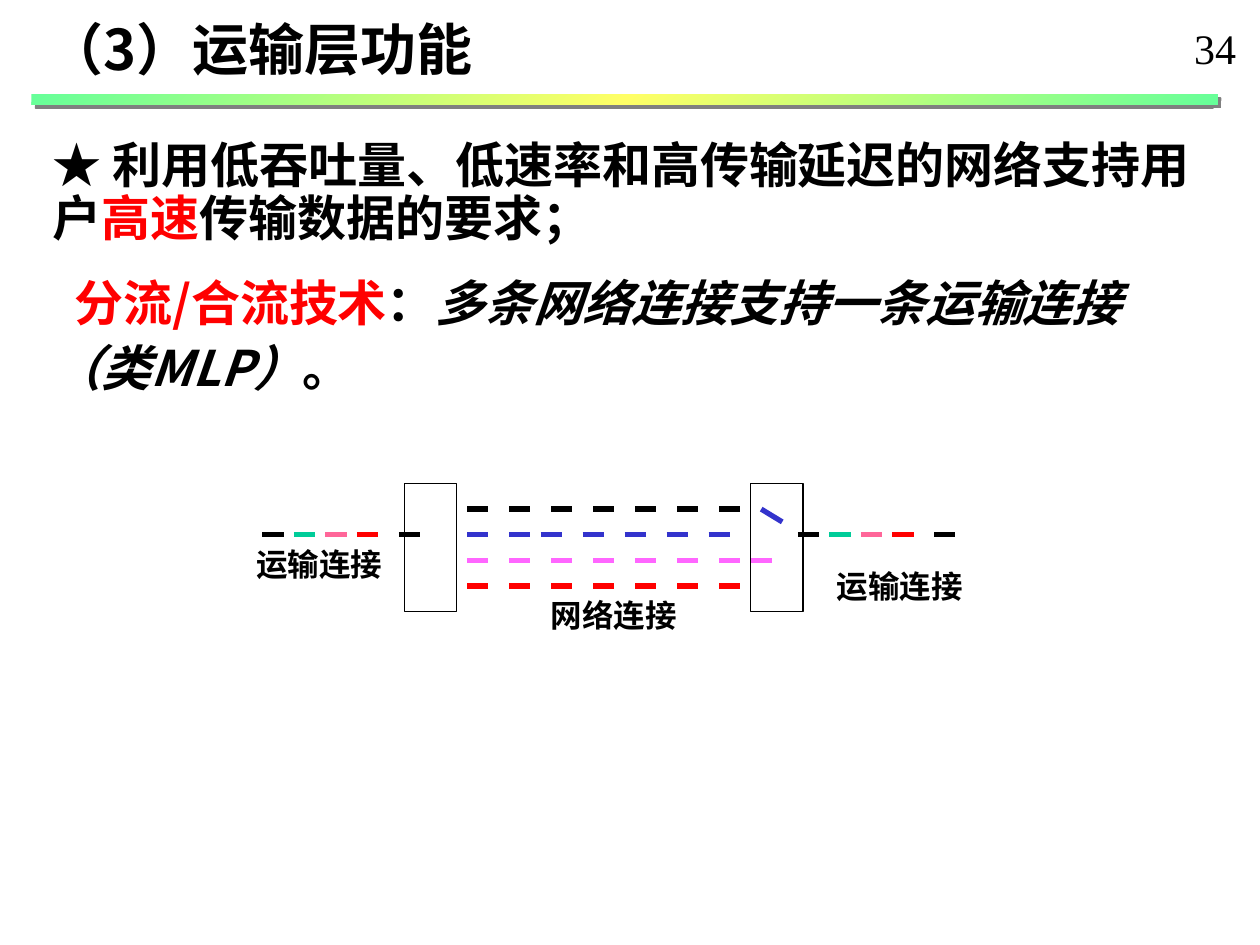
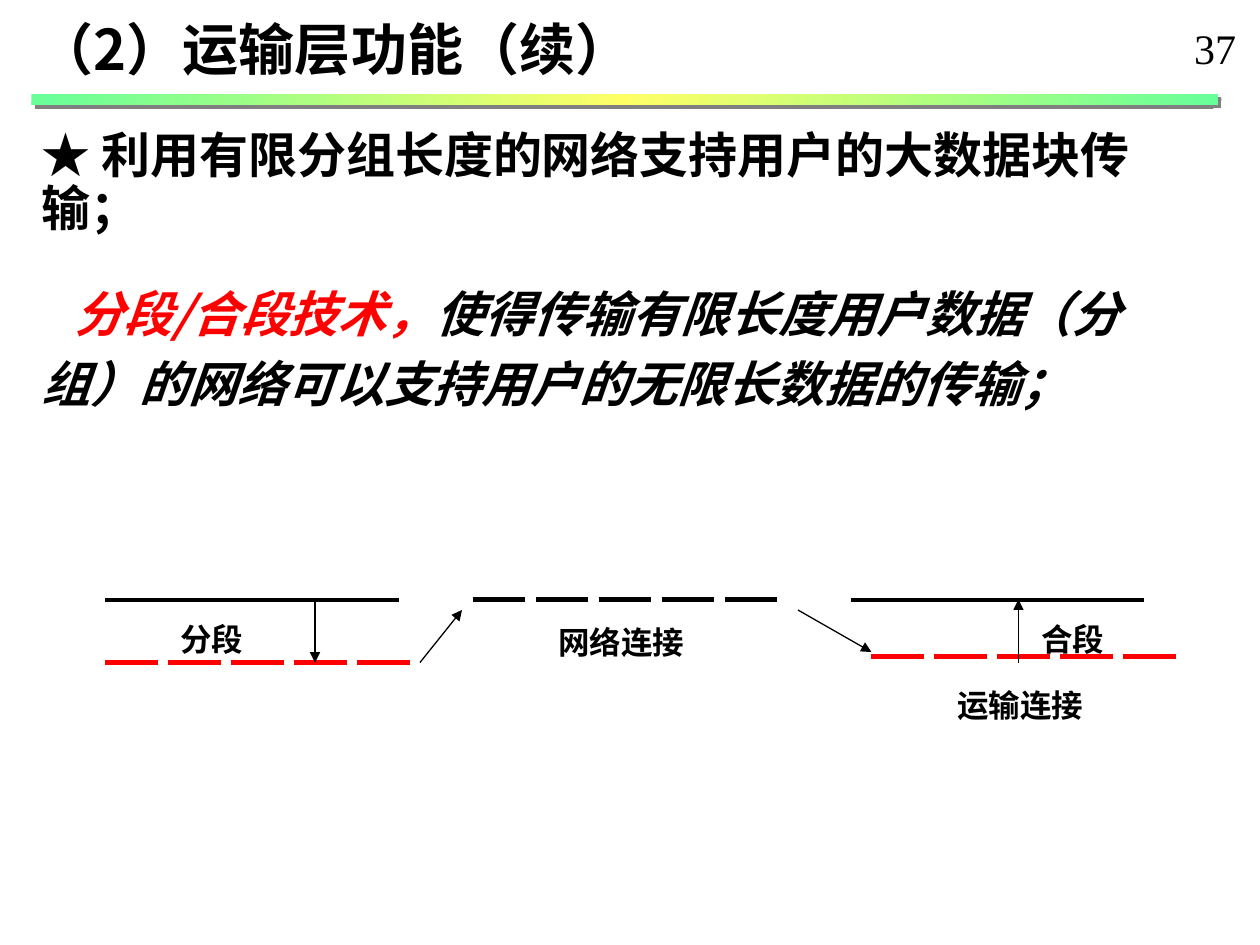
"""Builds two slides on how the transport layer splits and merges data."""
from dataclasses import dataclass

from lxml.etree import SubElement
from pptx import Presentation
from pptx.dml.color import RGBColor
from pptx.enum.shapes import MSO_CONNECTOR as Connector, MSO_SHAPE as Shape
from pptx.enum.text import MSO_ANCHOR as Anchor, MSO_AUTO_SIZE as AutoSize, PP_ALIGN as Align
from pptx.oxml import parse_xml
from pptx.oxml.ns import nsdecls, qn
from pptx.util import Inches, Pt

CELLS_PER_INCH = 24


@dataclass(frozen=True)
class Theme:
    """Colours, fonts and sizes shared by the slides."""
    black: str = "000000"
    red: str = "FF0000"
    green: str = "00CC99"
    rose: str = "FF6699"
    blue: str = "3333CC"
    pink: str = "FF66FF"
    band_edge: str = "66FF99"
    band_middle: str = "FFFF66"
    band_shadow: str = "808080"
    sans: str = "Noto Sans CJK SC"
    serif: str = "Times New Roman"
    title: int = 32
    body: int = 28
    number: int = 24
    label: int = 18
    thin: float = 0.75
    medium: float = 2.25
    thick: float = 3


THEME = Theme()


def cells(*lengths):
    """Convert grid cells to slide lengths."""
    return [Inches(length / CELLS_PER_INCH) for length in lengths]


def apply(target, values):
    """Set every attribute named in values on the target."""
    for attribute, value in values.items():
        setattr(target, attribute, value)


def write_run(paragraph, text, size, color=THEME.black, latin=THEME.sans, bold=True, italic=False):
    """Add one formatted run to a paragraph."""
    run = paragraph.add_run()
    run.text = text
    apply(run.font, {"size": Pt(size), "bold": bold, "italic": italic, "name": latin})
    run.font.color.rgb = RGBColor.from_string(color)
    SubElement(run.font._element, qn("a:ea"), typeface=THEME.sans)


def place(placeholder, area):
    """Move a placeholder to its area and return its text frame."""
    apply(placeholder, dict(zip(("left", "top", "width", "height"), cells(*area))))
    frame = placeholder.text_frame
    apply(frame, {"word_wrap": True, "auto_size": AutoSize.NONE, "vertical_anchor": Anchor.TOP})
    return frame


def add_label(slide, text, left, top, width=None, size=THEME.label, bold=True):
    """Add a short unwrapped text."""
    width = width or 4.8 + 6 * len(text)
    frame = slide.shapes.add_textbox(*cells(left, top, width, 9.6)).text_frame
    frame.word_wrap = False
    write_run(frame.paragraphs[0], text, size, latin=THEME.serif, bold=bold)


def add_band(slide):
    """Draw the gradient rule with its hard shadow below the title."""
    band = slide.shapes.add_shape(Shape.RECTANGLE, *cells(6, 18, 226, 2))
    band.line.fill.background()
    stops = "".join(
        f'<a:gs pos="{position}"><a:srgbClr val="{color}"/></a:gs>'
        for position, color in ((0, THEME.band_edge), (50000, THEME.band_middle),
                                (100000, THEME.band_edge)))
    properties = band._element.spPr
    properties.find(qn("a:prstGeom")).addnext(parse_xml(
        f'<a:gradFill {nsdecls("a")} rotWithShape="1"><a:gsLst>{stops}</a:gsLst>'
        '<a:lin ang="2700000" scaled="1"/></a:gradFill>'))
    properties.append(parse_xml(
        f'<a:effectLst {nsdecls("a")}><a:outerShdw dist="35560" dir="2700000" algn="ctr" '
        f'rotWithShape="0"><a:srgbClr val="{THEME.band_shadow}"/></a:outerShdw></a:effectLst>'))


def start_slide(deck, title, title_area, number):
    """Add a slide with its title, band and page number."""
    slide = deck.slides.add_slide(deck.slide_layouts[1])
    add_band(slide)
    heading = place(slide.shapes.title, title_area).paragraphs[0]
    apply(heading, {"alignment": Align.LEFT, "line_spacing": 0.9})
    write_run(heading, title, THEME.title)
    add_label(slide, number, 225.12, 3.12, 12.96, THEME.number, bold=False)
    return slide


def fill_body(slide, area, paragraphs):
    """Write paragraphs of (indent, spacing, runs) into the body placeholder."""
    frame = place(slide.placeholders[1], area)
    for order, (indent, spacing, runs) in enumerate(paragraphs):
        paragraph = frame.add_paragraph() if order else frame.paragraphs[0]
        properties = paragraph._p.get_or_add_pPr()
        properties.set("marL", "0")
        properties.set("indent", str(Inches(indent)))
        SubElement(properties, qn("a:buNone"))
        apply(paragraph, {"alignment": Align.LEFT, "space_before": Pt(0),
                          "space_after": Pt(0), **spacing})
        for text, style in runs:
            write_run(paragraph, text, THEME.body, **style)


def add_stroke(slide, start, end, color=THEME.black, weight=THEME.thick, arrow=False):
    """Draw a straight stroke between two grid points."""
    stroke = slide.shapes.add_connector(Connector.STRAIGHT, *cells(*start, *end))
    stroke.line.color.rgb = RGBColor.from_string(color)
    stroke.line.width = Pt(weight)
    if arrow:
        SubElement(stroke.line._get_or_add_ln(), qn("a:tailEnd"), type="triangle")
    SubElement(stroke._element.spPr, qn("a:effectLst"))


def add_dashes(slide, starts, row, length, color):
    """Draw equal dashes along one row."""
    for start in starts:
        add_stroke(slide, (start, row), (start + length, row), color)


def add_station(slide, left, top, width, height):
    """Draw an open box where streams split or merge."""
    station = slide.shapes.add_shape(Shape.RECTANGLE, *cells(left, top, width, height))
    station.shadow.inherit = False
    station.fill.background()
    station.line.color.rgb = RGBColor.from_string(THEME.black)
    station.line.width = Pt(THEME.thin)


def draw_splitting(slide):
    """Draw one transport connection carried over four network connections."""
    top, lane, dash = 92.1, 4.88, 4
    lanes = [top + lane * step for step in range(1, 5)]
    even = range(89, 138, 8)
    network = ((THEME.black, even), (THEME.blue, [89, 97, *range(103, 136, 8)]),
               (THEME.pink, [*even, 143]), (THEME.red, even))
    for row, (color, starts) in zip(lanes, network):
        add_dashes(slide, starts, row, dash, color)
    add_stroke(slide, (145, lanes[0]), (149, lanes[0] + lane / 2), THEME.blue)

    for stream in (50, 152):
        for step, color in enumerate((THEME.black, THEME.green, THEME.rose, THEME.red)):
            add_dashes(slide, [stream + 6 * step], lanes[1], dash, color)
        add_dashes(slide, [stream + 26], lanes[1], dash, THEME.black)

    for left in (77, 143):
        add_station(slide, left, top, 10, 5 * lane)
    for text, left, label_top in (("运输连接", 46.5, 102.7), ("网络连接", 102.6, 112.3),
                                  ("运输连接", 157, 106.8)):
        add_label(slide, text, left, label_top)


def draw_segmenting(slide):
    """Draw a long block cut into segments, carried and joined again."""
    high, low, joined = 114.2, 126.2, 125
    for left in (20, 162):
        add_stroke(slide, (left, high), (left + 56, high), weight=THEME.medium)
    for left, row, color in ((20, low, THEME.red), (90, high, THEME.black),
                             (166, joined, THEME.red)):
        add_dashes(slide, range(left, left + 60, 12), row, 10, color)
    for start, end in (((80, low), (88, 116.2)), ((152, 116.2), (166, 124.2)),
                       ((60, high), (60, low)), ((194, low), (194, high))):
        add_stroke(slide, start, end, weight=THEME.thin, arrow=True)
    for text, left, top in (("分段", 32, 116.9), ("合段", 196, 116.9),
                            ("网络连接", 104, 117.5), ("运输连接", 180, 129.5)):
        add_label(slide, text, left, top)


def main():
    """Build both slides and save the deck."""
    deck = Presentation()
    apply(deck, {"slide_width": Inches(10), "slide_height": Inches(7.5)})
    red, slanted = {"color": THEME.red}, {"italic": True}

    splitting = start_slide(deck, "（3）运输层功能", (6.6, 2.95, 98.4, 13.92), "34")
    fill_body(splitting, (7.68, 25.68, 226.32, 51.6), [
        (0, {"line_spacing": 0.9, "space_after": Pt(3)},
         [("★ 利用低吞吐量、低速率和高传输延迟的网络支持用户", {}), ("高速", red),
          ("传输数据的要求；", {})]),
        (0.17, {"line_spacing": 1.1, "space_before": Pt(8.4)},
         [("分流/合流技术", red), ("：", {}),
          ("多条网络连接支持一条运输连接（类MLP）", slanted), ("。", {})])])
    draw_splitting(splitting)

    segmenting = start_slide(deck, "（2）运输层功能（续）", (4.8, 2.95, 138, 13.92), "37")
    fill_body(segmenting, (5.52, 23.76, 219, 57.36), [
        (0, {"line_spacing": 0.9, "space_after": Pt(14)},
         [("★ 利用有限分组长度的网络支持用户的大数据块传输；", {})]),
        (0.26, {"line_spacing": 1.2, "space_before": Pt(5.6)},
         [("分段/合段技术，", {**red, **slanted}),
          ("使得传输有限长度用户数据（分组）的网络可以支持用户的无限长数据的传输；", slanted)])])
    draw_segmenting(segmenting)

    deck.save("out.pptx")


if __name__ == "__main__":
    main()
